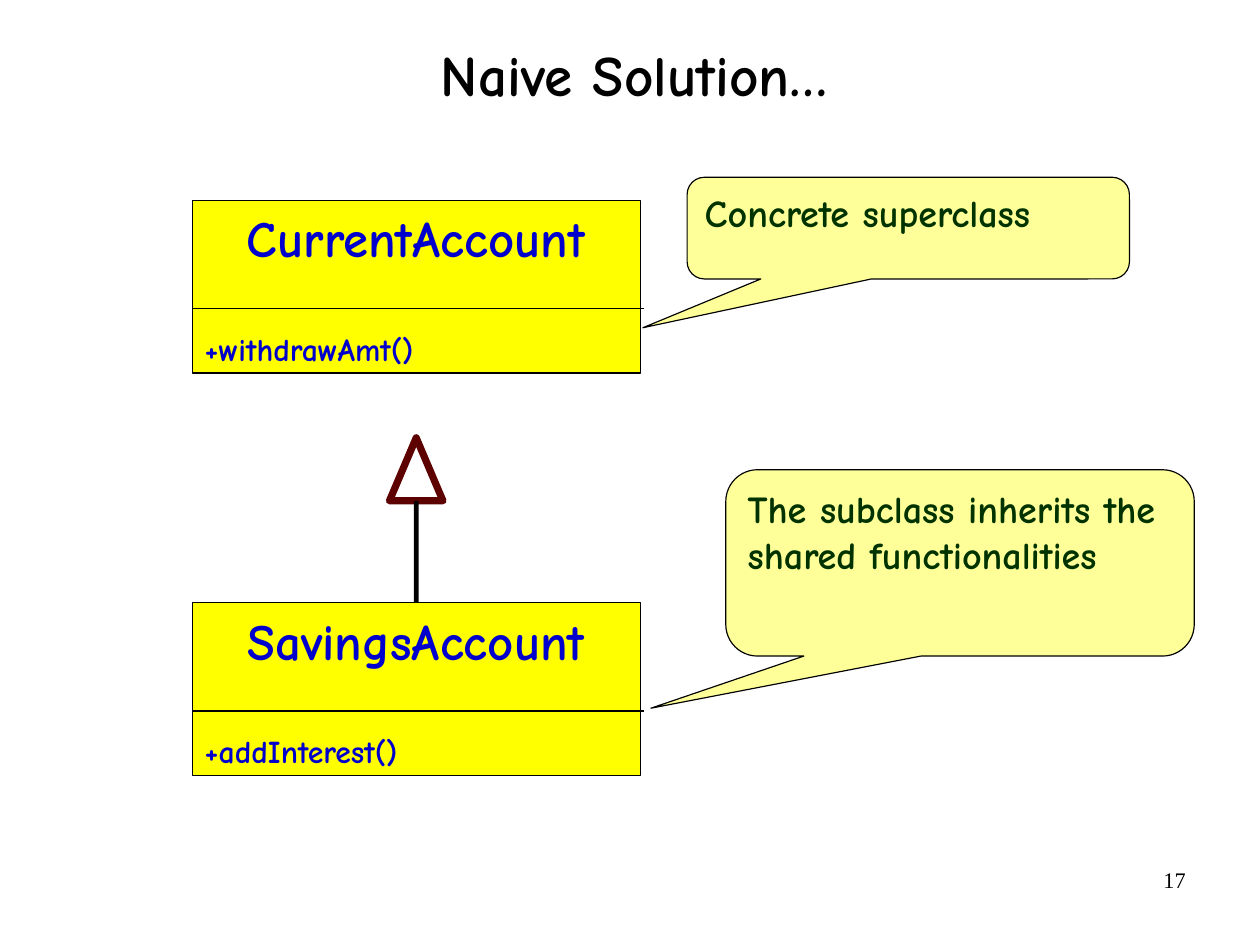
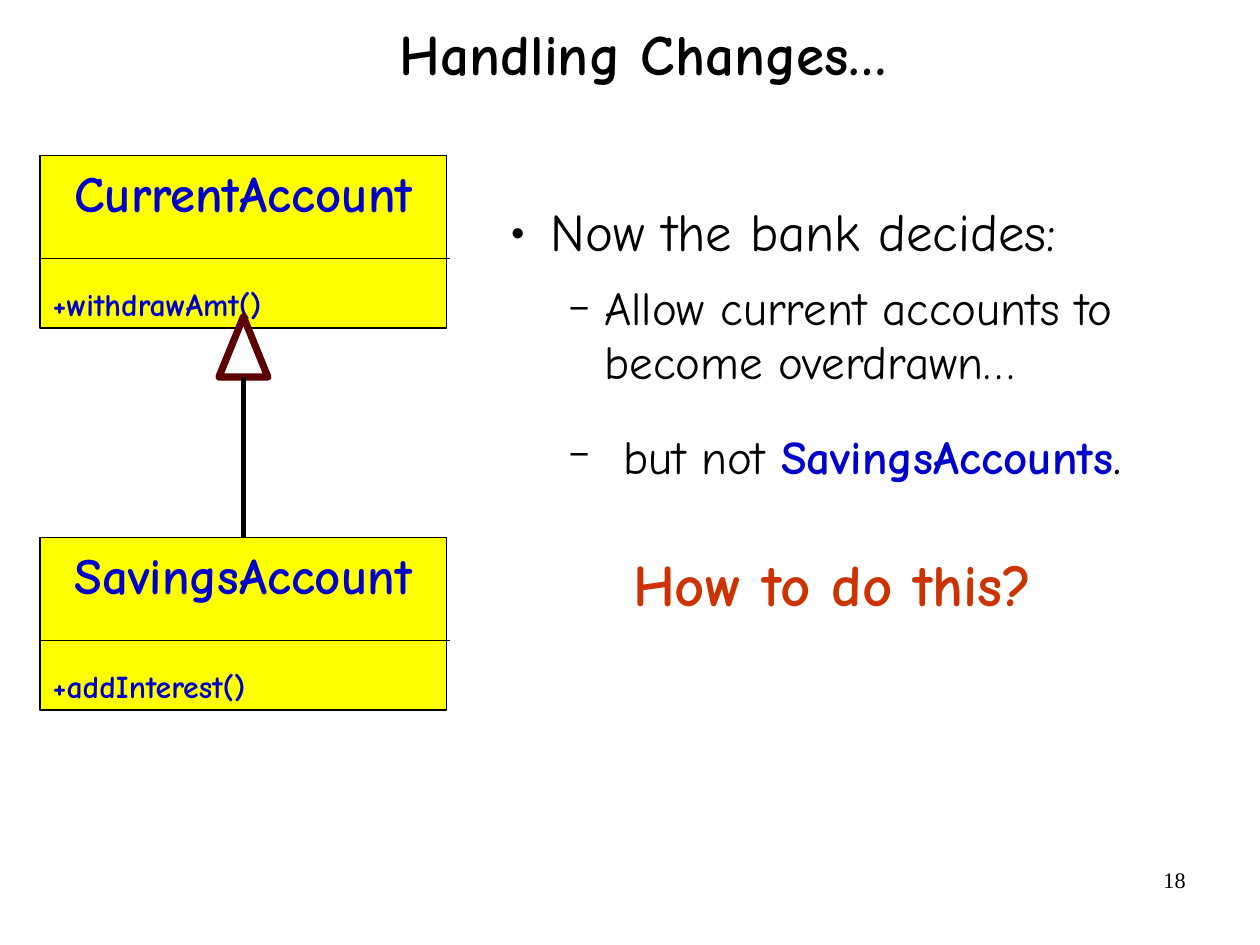
import dataclasses

import pptx
import pptx.dml.color
import pptx.enum.shapes
import pptx.enum.text
import pptx.oxml
import pptx.oxml.ns
import pptx.util

Cm = pptx.util.Cm
Pt = pptx.util.Pt
MSO = pptx.enum.shapes.MSO_SHAPE
ALIGN = pptx.enum.text.PP_ALIGN
ANCHOR = pptx.enum.text.MSO_ANCHOR
RGB = pptx.dml.color.RGBColor.from_string


@dataclasses.dataclass(frozen=True)
class Theme:
    font: str = "Comic Neue"
    number_font: str = "Times New Roman"
    black: str = "000000"
    white: str = "FFFFFF"
    class_fill: str = "FFFF00"
    class_text: str = "0000CC"
    note_fill: str = "FFFF99"
    note_text: str = "003300"
    arrow: str = "5C0000"
    question: str = "CC3300"
    title_size: float = 36
    class_size: float = 32
    method_size: float = 20
    note_size: float = 24
    number_size: float = 14
    list_size: float = 33.3
    sublist_size: float = 29.6
    question_size: float = 37
    thin: float = 0.75
    stem: float = 3
    heavy: float = 4.5


T = Theme()


def write(p, text, size, color=T.black, bold=False, font=T.font,
          align=None, before=0, after=0, spacing=None):
    """Append a formatted run to a paragraph and set the paragraph's layout."""
    p.alignment = align
    p.space_before, p.space_after = Pt(before), Pt(after)
    p.line_spacing = spacing
    r = p.add_run()
    r.text = text
    r.font.name, r.font.size, r.font.bold = font, Pt(size), bold
    r.font.color.rgb = RGB(color)


def add_box(slide, kind, box, fill, line=T.black, weight=T.thin):
    """Add a filled, outlined shape whose text starts at the top."""
    sp = slide.shapes.add_shape(kind, *[Cm(v) for v in box])
    sp.shadow.inherit = False
    sp.fill.solid()
    sp.fill.fore_color.rgb = RGB(fill)
    sp.line.color.rgb = RGB(line)
    sp.line.width = Pt(weight)
    tf = sp.text_frame
    tf.word_wrap = True
    tf.vertical_anchor = ANCHOR.TOP
    tf.margin_left = tf.margin_right = Cm(0.28)
    tf.margin_top = tf.margin_bottom = Cm(0.15)
    return sp


prs = pptx.Presentation()
prs.slide_width, prs.slide_height = Cm(28), Cm(21)

# Layout index, title with its place, and class diagram of each slide
CLASS_HEIGHT, OVERHANG = 3.84, 0.08
CLASSES = [("CurrentAccount", "+withdrawAmt()"),
           ("SavingsAccount", "+addInterest()")]
pages = [
    dict(number=17, layout=5, title="Naive Solution…", title_at=(2.16, 0),
         left=4.27, width=9.96, tops=(4.45, 13.39), divider=2.41,
         head=(9.73, 1.19, 1.4)),
    dict(number=18, layout=1, title="Handling Changes…", title_at=(2.36, -0.46),
         left=0.89, width=9.04, tops=(3.45, 11.94), divider=2.29,
         head=(7.04, 1.09, 1.34)),
]

for page in pages:
    s = prs.slides.add_slide(prs.slide_layouts[page["layout"]])

    # Title
    sp = s.shapes.title
    sp.left, sp.top = [Cm(v) for v in page["title_at"]]
    sp.width, sp.height = Cm(23.88), Cm(3.48)
    tf = sp.text_frame
    tf.vertical_anchor = ANCHOR.MIDDLE
    tf.margin_left = tf.margin_right = tf.margin_top = tf.margin_bottom = 0
    write(tf.paragraphs[0], page["title"], T.title_size, bold=True,
          align=ALIGN.CENTER, spacing=0.88)

    # Page number
    sp = s.shapes.add_textbox(Cm(20.07), Cm(19.13), Cm(6.53), Cm(1.45))
    sp.text_frame.word_wrap = True
    write(sp.text_frame.paragraphs[0], str(page["number"]), T.number_size,
          font=T.number_font, align=ALIGN.RIGHT)

    # Class boxes
    left, width = page["left"], page["width"]
    lines = []
    for (name, method), top in zip(CLASSES, page["tops"]):
        class_box = add_box(s, MSO.RECTANGLE, (left, top, width, CLASS_HEIGHT),
                            T.class_fill)
        tf = class_box.text_frame
        write(tf.paragraphs[0], name, T.class_size, T.class_text, True,
              align=ALIGN.CENTER)
        write(tf.add_paragraph(), method, T.method_size, T.class_text, True,
              align=ALIGN.LEFT, before=39)
        y = top + page["divider"]
        lines.append((left, y, left + width + OVERHANG, y, T.thin))

    # Inheritance arrow: hollow head, then the stem down to the subclass
    head_top, head_width, head_height = page["head"]
    center = left + width / 2
    add_box(s, MSO.ISOSCELES_TRIANGLE,
            (center - head_width / 2, head_top, head_width, head_height),
            T.white, T.arrow, T.heavy)
    lines.append((center, head_top + head_height, center, page["tops"][1], T.stem))

    # Dividers and stem
    for *ends, weight in lines:
        cx = s.shapes.add_connector(pptx.enum.shapes.MSO_CONNECTOR.STRAIGHT,
                                    *[Cm(v) for v in ends])
        cx.line.color.rgb = RGB(T.black)
        cx.line.width = Pt(weight)
        pptx.oxml.ns.qn("a:effectLst")
        cx._element.spPr.append(pptx.oxml.parse_xml(
            "<a:effectLst %s/>" % pptx.oxml.ns.nsdecls("a")))
    cx.end_connect(class_box, 0)

naive, changes = prs.slides

# Callouts on the first slide
callouts = [
    ("Concrete superclass", (15.27, 3.94, 9.83, 2.26), (-0.6, 0.98)),
    ("The subclass inherits the shared functionalities",
     (16.13, 10.44, 10.41, 4.14), (-0.66, 0.78)),
]
for text, box, tip in callouts:
    sp = add_box(naive, MSO.ROUNDED_RECTANGULAR_CALLOUT, box, T.note_fill)
    sp.adjustments[0], sp.adjustments[1] = tip
    sp.adjustments[2] = 0.17
    write(sp.text_frame.paragraphs[0], text, T.note_size, T.note_text, True,
          align=ALIGN.LEFT)

# List on the second slide: level, left margin, first-line indent,
# bullet with its size in percent, space before and after, runs
items = [
    (0, 1.17, -0.89, ("●", 45), 0, 0,
     [("Now the bank decides:", T.list_size, T.black, False)]),
    (1, 2.36, -0.79, ("−", 75), 12, 10.9,
     [("Allow current accounts to become overdrawn…", T.sublist_size,
       T.black, False)]),
    (1, 2.78, -1.21, ("−", 75), 12, 0,
     [("but not ", T.sublist_size, T.black, False),
      ("SavingsAccounts", T.sublist_size, T.class_text, True),
      (".", T.list_size, T.black, False)]),
    (2, 3, 0, None, 42, 8.1,
     [("How to do this?", T.question_size, T.question, True)]),
]
sp = changes.placeholders[1]
sp.left, sp.top, sp.width, sp.height = Cm(11.07), Cm(4.52), Cm(16.92), Cm(8.66)
tf = sp.text_frame
tf.word_wrap = True
tf.auto_size = pptx.enum.text.MSO_AUTO_SIZE.NONE
tf.margin_left = tf.margin_right = tf.margin_top = tf.margin_bottom = 0
for i, (level, margin, indent, bullet, before, after, runs) in enumerate(items):
    p = tf.add_paragraph() if i else tf.paragraphs[0]
    p.level = level
    pPr = p._p.get_or_add_pPr()
    pPr.set("marL", str(Cm(margin)))
    pPr.set("indent", str(Cm(indent)))
    if bullet:
        char, percent = bullet
        marks = ['buClr><a:srgbClr val="%s"/></a:buClr' % T.black,
                 'buSzPct val="%d"/' % (percent * 1000),
                 'buChar char="%s"/' % char]
    else:
        marks = ["buNone/"]
    for mark in marks:
        xml = "<a:" + mark + ">"
        name = mark.split(">")[0].split(" ")[0].rstrip("/")
        xml = xml.replace("<a:" + name, "<a:%s %s" % (name, pptx.oxml.ns.nsdecls("a")), 1)
        pPr.append(pptx.oxml.parse_xml(xml))
    for text, size, color, bold in runs:
        write(p, text, size, color, bold, align=ALIGN.LEFT,
              before=before, after=after, spacing=0.95)

prs.save("out.pptx")
